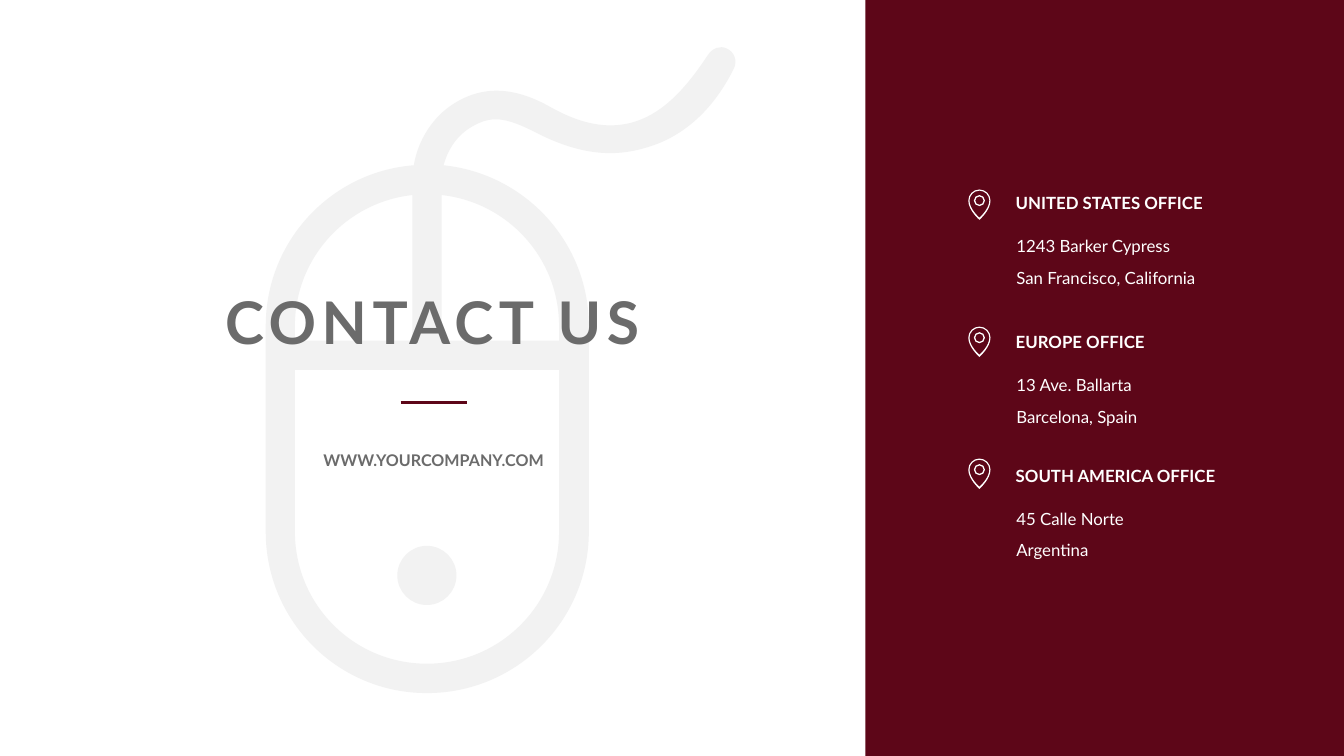
from lxml.etree import Element, SubElement
from pptx import Presentation
from pptx.dml.color import RGBColor
from pptx.enum.shapes import MSO_CONNECTOR, MSO_SHAPE
from pptx.enum.text import MSO_ANCHOR, MSO_AUTO_SIZE, PP_ALIGN
from pptx.oxml.ns import qn
from pptx.util import Cm, Pt

WHITE = RGBColor(0xFF, 0xFF, 0xFF)
PALE = RGBColor(0xF2, 0xF2, 0xF2)
GREY = RGBColor(0x6B, 0x6B, 0x6B)
MAROON = RGBColor(0x5D, 0x06, 0x18)

PIN_X = 49.35
# heading top, pin centre, heading width, heading, address lines
OFFICES = [
    (9.58, 10.11, 10.21, "UNITED STATES OFFICE", ["1243 Barker Cypress", "San Francisco, California"]),
    (16.59, 17.02, 7.11, "EUROPE OFFICE", ["13 Ave. Ballarta", "Barcelona, Spain"]),
    (23.32, 23.67, 10.85, "SOUTH AMERICA OFFICE", ["45 Calle Norte", "Argentina"]),
]

# A contour is a list of steps: a pair is a point, six numbers are a Bezier curve.
MOUSE_BUTTONS = [
    (28.17, 16.43), (28.17, 17.17), (14.86, 17.17), (14.86, 16.43),
    (14.86, 13, 17.45, 10.19, 20.78, 9.83),
    (20.78, 17.17), (22.25, 17.17), (22.25, 9.83),
    (25.58, 10.19, 28.17, 13, 28.17, 16.43),
]
MOUSE_PALM = [
    (28.17, 26.8),
    (28.17, 30.48, 25.2, 33.45, 21.51, 33.45),
    (17.83, 33.45, 14.86, 30.48, 14.86, 26.8),
    (14.86, 18.64), (28.17, 18.64),
]
MOUSE_OUTLINE = [
    (36.65, 2.46),
    (36.27, 2.26, 35.89, 2.44, 35.66, 2.79),
    (33.99, 5.31, 31.78, 7.67, 27.76, 5.41),
    (25.48, 4.11, 23.95, 4.55, 22.89, 5.21),
    (21.82, 5.87, 21.06, 7.06, 20.85, 8.33),
    (16.66, 8.66, 13.39, 12.17, 13.39, 16.43),
    (13.39, 26.8),
    (13.39, 31.29, 17.02, 34.93, 21.51, 34.93),
    (26.01, 34.93, 29.67, 31.29, 29.67, 26.8),
    (29.67, 16.43),
    (29.67, 12.22, 26.47, 8.76, 22.35, 8.33),
    (22.53, 7.65, 22.94, 6.91, 23.67, 6.45),
    (24.74, 5.79, 25.43, 5.87, 27.1, 6.73),
    (29.92, 8.15, 31.72, 7.77, 33.15, 7.24),
    (34.87, 6.55, 36.12, 5.18, 36.98, 3.45),
    (37.16, 3.07, 37.01, 2.64, 36.65, 2.46),
]


def circle(x, y, radius):
    k = 0.55 * radius
    left, right, top, bottom = x - radius, x + radius, y - radius, y + radius
    return [
        (right, y),
        (right, y + k, x + k, bottom, x, bottom),
        (x - k, bottom, left, y + k, left, y),
        (left, y - k, x - k, top, x, top),
        (x + k, top, right, y - k, right, y),
    ]


def drop(x, y, radius, tip):
    """Map pin outline: a half circle above (x, y), a point `tip` below it."""
    k = 0.55 * radius
    left, right, top, bottom = x - radius, x + radius, y - radius, y + tip
    return [
        (x, top),
        (x - k, top, left, y - k, left, y),
        (left, y + tip / 2, x, bottom, x, bottom),
        (x, bottom, right, y + tip / 2, right, y),
        (right, y - k, x + k, top, x, top),
    ]


class Painter:
    font = "Lato"

    def __init__(self, slide):
        self.shapes = slide.shapes

    def paint(self, shape, color):
        shape.fill.solid()
        shape.fill.fore_color.rgb = color
        shape.line.fill.background()
        shape.shadow.inherit = False

    def rectangle(self, left, top, width, height, color):
        shape = self.shapes.add_shape(MSO_SHAPE.RECTANGLE, Cm(left), Cm(top), Cm(width), Cm(height))
        self.paint(shape, color)

    def outline(self, contours, color):
        """Draw contours as one shape; those inside others become holes."""
        ends = [[(Cm(step[-2]), Cm(step[-1])) for step in contour] for contour in contours]
        builder = self.shapes.build_freeform(*ends[0][0])
        builder.add_line_segments(ends[0][1:])
        for points in ends[1:]:
            builder.move_to(*points[0])
            builder.add_line_segments(points[1:], close=True)
        shape = builder.convert_to_shape()
        self.bend(shape, [step for contour in contours for step in contour[1:]])
        self.paint(shape, color)

    def bend(self, shape, steps):
        """Turn the straight segments that stand for curves into Bezier curves."""
        segments = [node for node in shape._element.iter(qn("a:lnTo"))]
        curves = iter(segments)
        for step in steps:
            segment = next(curves)
            if len(step) == 2:
                continue
            segment.tag = qn("a:cubicBezTo")
            for index in (0, 1):
                x, y = step[2 * index:2 * index + 2]
                control = Element(qn("a:pt"), x=str(Cm(x) - shape.left), y=str(Cm(y) - shape.top))
                segment.insert(index, control)

    def line(self, left, right, y, color, weight):
        line = self.shapes.add_connector(MSO_CONNECTOR.STRAIGHT, Cm(left), Cm(y), Cm(right), Cm(y))
        line.line.color.rgb = color
        line.line.width = Pt(weight)
        SubElement(line._element.spPr, qn("a:effectLst"))

    def text(self, left, top, width, height, lines, size, color, bold=True,
             align=PP_ALIGN.LEFT, anchor=MSO_ANCHOR.MIDDLE, tracking=0):
        box = self.shapes.add_textbox(Cm(left), Cm(top), Cm(width), Cm(height))
        frame = box.text_frame
        frame.word_wrap = False
        frame.auto_size = MSO_AUTO_SIZE.SHAPE_TO_FIT_TEXT
        frame.vertical_anchor = anchor
        frame.text = "\n".join(lines)
        for para in frame.paragraphs:
            para.alignment = align
            para.font.name = self.font
            para.font.size = Pt(size)
            para.font.bold = bold
            para.font.color.rgb = color
            if tracking:
                para.font._element.set("spc", str(tracking * 100))
        return frame

    def address(self, left, top, lines):
        frame = self.text(left, top, 11.94, 3.66, lines, 24, WHITE, bold=False, anchor=MSO_ANCHOR.TOP)
        frame.word_wrap = True
        frame.margin_left = frame.margin_right = Cm(0.61)
        frame.margin_top = frame.margin_bottom = Cm(0.3)
        for para in frame.paragraphs:
            para.line_spacing = Pt(40.4)
            para.space_before = Pt(4.8)

    def pin(self, x, y):
        self.outline([drop(x, y, 0.56, 0.97), drop(x, y, 0.5, 0.86),
                      circle(x, y, 0.28), circle(x, y, 0.21)], WHITE)


def main():
    deck = Presentation()
    deck.slide_width, deck.slide_height = Cm(67.72), Cm(38.1)
    painter = Painter(deck.slides.add_slide(deck.slide_layouts[6]))

    painter.outline([MOUSE_OUTLINE, MOUSE_BUTTONS, MOUSE_PALM, circle(21.51, 29, 1.49)], PALE)
    painter.rectangle(43.61, 0, 24.11, 38.1, MAROON)
    painter.line(20.19, 23.53, 20.29, MAROON, 4.5)
    painter.text(10.64, 14.27, 22.3, 3.84, ["CONTACT US"], 84, GREY,
                 align=PP_ALIGN.CENTER, anchor=MSO_ANCHOR.TOP, tracking=8)
    painter.text(15.77, 22.58, 12.17, 1.24, ["WWW.YOURCOMPANY.COM"], 23, GREY, align=PP_ALIGN.CENTER)

    for top, pin_y, width, heading, lines in OFFICES:
        painter.address(50.6, top + 1.6, lines)
        painter.text(50.93, top, width, 1.27, [heading], 24, WHITE)
        painter.pin(PIN_X, pin_y)

    deck.save("out.pptx")


if __name__ == "__main__":
    main()
